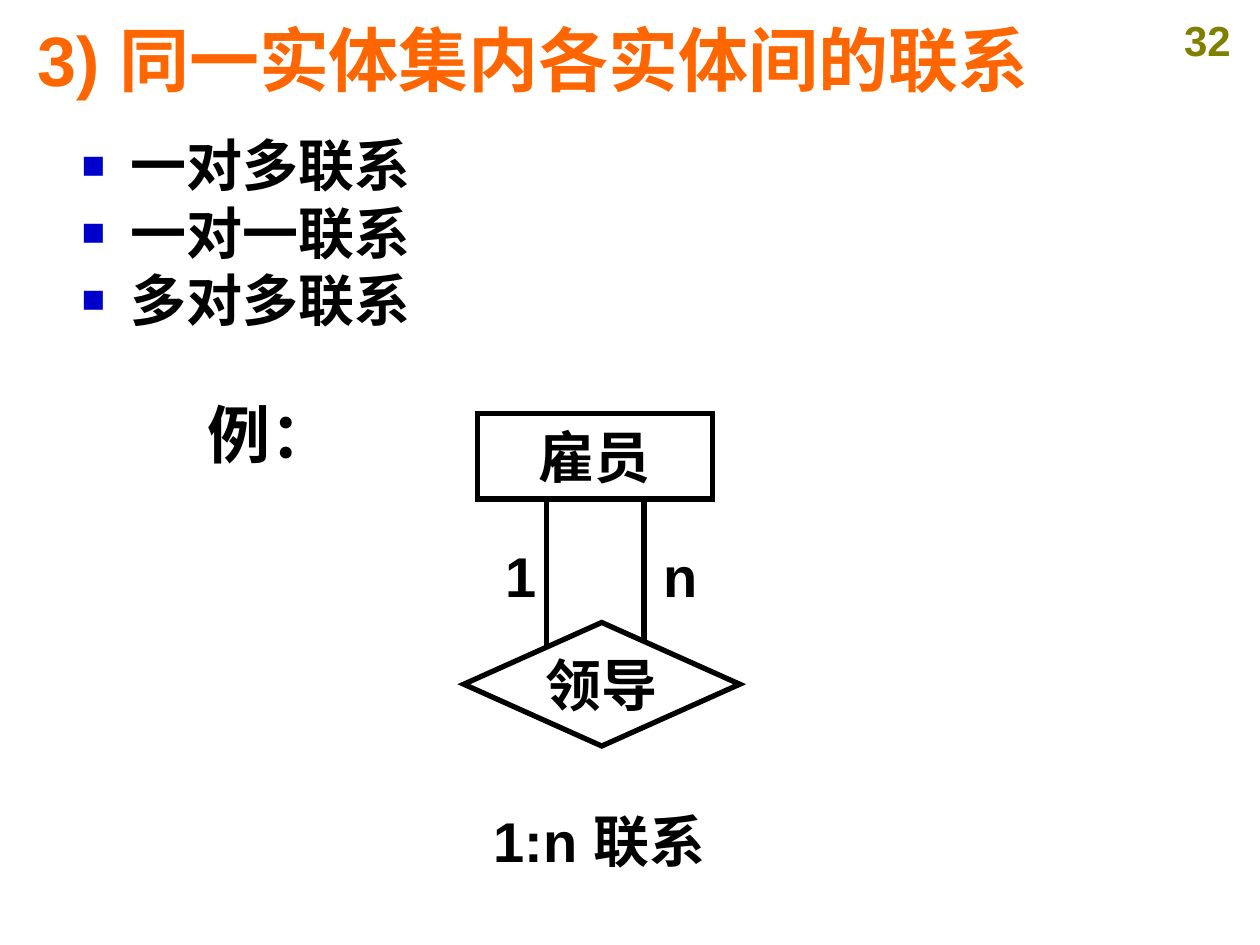
from lxml import etree
from pptx import Presentation
from pptx.dml.color import RGBColor
from pptx.enum.shapes import MSO_CONNECTOR, MSO_SHAPE
from pptx.enum.text import MSO_ANCHOR, PP_ALIGN
from pptx.oxml.ns import qn
from pptx.util import Pt

LEFT, CENTER = PP_ALIGN.LEFT, PP_ALIGN.CENTER
TOP, MIDDLE = MSO_ANCHOR.TOP, MSO_ANCHOR.MIDDLE
RECTANGLE, DIAMOND = MSO_SHAPE.RECTANGLE, MSO_SHAPE.DIAMOND
STRAIGHT = MSO_CONNECTOR.STRAIGHT

BLACK = RGBColor(0x00, 0x00, 0x00)
WHITE = RGBColor(0xFF, 0xFF, 0xFF)
ORANGE = RGBColor(0xFF, 0x66, 0x00)
OLIVE = RGBColor(0x80, 0x80, 0x00)
BLUE = RGBColor(0x00, 0x00, 0xCC)


def write(paragraph, text, size=32, color=BLACK, font="Arial", align=LEFT,
          before=0, margin=0, bullet=None):
    """Fill a paragraph with bold text, optionally bulleted or indented."""
    properties = paragraph._p.get_or_add_pPr()
    properties.set("marL", str(Pt(margin)))
    if bullet:
        properties.set("indent", str(-Pt(margin)))
        bullet_color = etree.SubElement(properties, qn("a:buClr"))
        etree.SubElement(bullet_color, qn("a:srgbClr"), val=str(BLUE))
        etree.SubElement(properties, qn("a:buSzPct"), val="70000")
        etree.SubElement(properties, qn("a:buFont"), typeface="Arial")
        etree.SubElement(properties, qn("a:buChar"), char=bullet)
    paragraph.alignment = align
    paragraph.space_before = Pt(before)
    run = paragraph.add_run()
    run.text = text
    run.font.size = Pt(size)
    run.font.bold = True
    run.font.name = font
    run.font.color.rgb = color


prs = Presentation()
prs.slide_width, prs.slide_height = Pt(720), Pt(540)
slide = prs.slides.add_slide(prs.slide_layouts[6])
shapes = slide.shapes

# Page number, title and diagram labels
labels = [
    ("32", (664.5, 4.5, 51, 36), dict(size=24, color=OLIVE, align=CENTER), TOP),
    ("3) 同一实体集内各实体间的联系", (14.4, 13.7, 682, 39.6),
     dict(size=40, color=ORANGE), MIDDLE),
    ("1", (281.5, 306, 39.6, 45.4), {}, TOP),
    ("n", (372.2, 306, 39.6, 45.4), {}, TOP),
    ("1:n 联系", (224.6, 457.2, 236.2, 45.4), dict(align=CENTER), TOP),
]
for text, box, text_format, anchor in labels:
    label = shapes.add_textbox(*map(Pt, box)).text_frame
    label.word_wrap = True
    label.vertical_anchor = anchor
    write(label.paragraphs[0], text, **text_format)

# Kinds of relationship, then the heading of the example
body = shapes.add_textbox(Pt(39.6), Pt(71.3), Pt(644.4), Pt(439.2)).text_frame
body.word_wrap = True
for index, kind in enumerate(["一对多联系", "一对一联系", "多对多联系"]):
    paragraph = body.add_paragraph() if index else body.paragraphs[0]
    write(paragraph, kind, font="Times New Roman", margin=28, bullet="■")
write(body.add_paragraph(), "例：", size=36, font="Times New Roman",
      before=36, margin=72)

# Two links between the entity and its relationship
for x in (312.5, 368):
    link = shapes.add_connector(STRAIGHT, Pt(x), Pt(284.4), Pt(x), Pt(369.4))
    link.line.color.rgb = BLACK
    link.line.width = Pt(3)
    etree.SubElement(link._element.spPr, qn("a:effectLst"))

# Entity and relationship
nodes = [
    ("雇员", RECTANGLE, (273, 236.2, 134, 49)),
    ("领导", DIAMOND, (265, 355.7, 157.7, 70.6)),
]
for text, outline, box in nodes:
    node = shapes.add_shape(outline, *map(Pt, box))
    node.shadow.inherit = False
    node.fill.solid()
    node.fill.fore_color.rgb = WHITE
    node.line.color.rgb = BLACK
    node.line.width = Pt(3)
    etree.SubElement(node.line._get_or_add_ln(), qn("a:miter"), lim="800000")
    node.text_frame.word_wrap = False
    node.text_frame.vertical_anchor = MIDDLE
    write(node.text_frame.paragraphs[0], text, align=CENTER)

prs.save("out.pptx")
